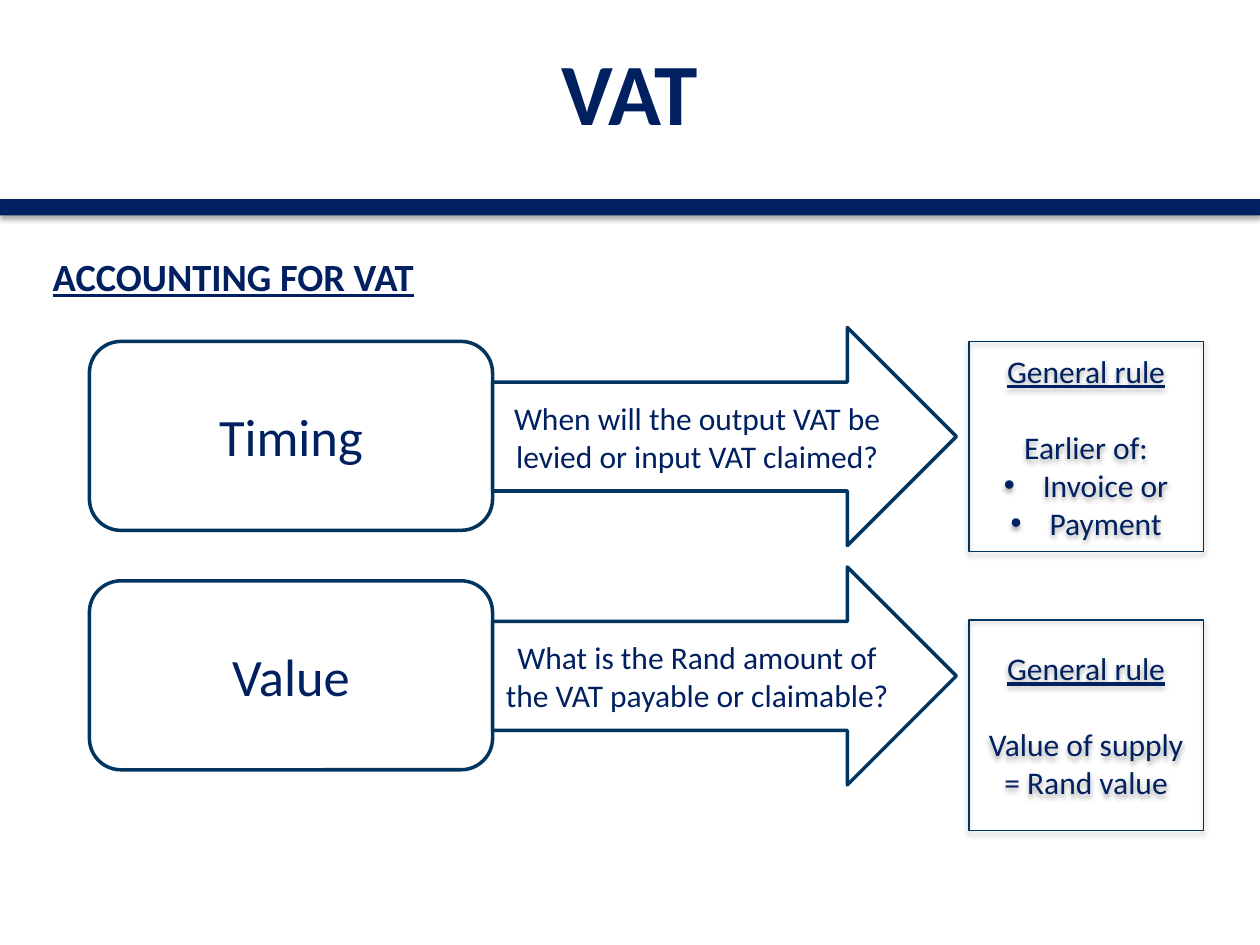
from lxml import etree
from pptx import Presentation
from pptx.dml.color import RGBColor
from pptx.enum.shapes import MSO_SHAPE as Shape
from pptx.enum.text import MSO_ANCHOR as Anchor, PP_ALIGN as Align
from pptx.oxml import parse_xml
from pptx.oxml.ns import nsdecls, qn
from pptx.util import Inches, Pt

COLORS = {"navy": "002060", "outline": "003560", "white": "FFFFFF", "shadow": "000000"}
FONT = "Calibri"
RULE_SIZE = 18
BULLET_INDENT = Inches(0.31)

TOPICS = [
    {
        "name": "Timing",
        "question": "When will the output VAT be levied or input VAT claimed?",
        "rule": ["Earlier of:"],
        "bullets": ["Invoice or", "Payment"],
        "top": 2.71,
        "rule_top": 2.71,
    },
    {
        "name": "Value",
        "question": "What is the Rand amount of the VAT payable or claimable?",
        "rule": ["Value of supply = Rand value"],
        "bullets": [],
        "top": 4.61,
        "rule_top": 4.92,
    },
]


def rgb(name):
    return RGBColor.from_string(COLORS[name])


def format_paragraph(paragraph, size, align=Align.CENTER, bold=False, underline=False):
    paragraph.alignment = align
    for run in paragraph.runs:
        font = run.font
        font.name, font.size = FONT, Pt(size)
        font.bold, font.underline = bold, underline
        font.color.rgb = rgb("navy")


def add_shadow(shape):
    """Give the shape a soft shadow straight below it."""
    shape._element.spPr.append(parse_xml(
        f'<a:effectLst {nsdecls("a")}>'
        f'<a:outerShdw blurRad="{Pt(3.1)}" dist="{Pt(1.8)}" dir="5400000" rotWithShape="0">'
        f'<a:srgbClr val="{COLORS["shadow"]}"><a:alpha val="35000"/></a:srgbClr>'
        '</a:outerShdw></a:effectLst>'))


def add_bullet(paragraph):
    properties = paragraph._p.get_or_add_pPr()
    properties.set("marL", str(BULLET_INDENT))
    properties.set("indent", str(-BULLET_INDENT))
    etree.SubElement(properties, qn("a:buFont")).set("typeface", "Arial")
    etree.SubElement(properties, qn("a:buChar")).set("char", "•")


def add_panel(slide, kind, box, fill=None, line_width=None, shadow=False):
    panel = slide.shapes.add_shape(kind, *map(Inches, box))
    if shadow:
        add_shadow(panel)
    else:
        panel.shadow.inherit = False
    if fill:
        panel.fill.solid()
        panel.fill.fore_color.rgb = rgb(fill)
    else:
        panel.fill.background()
    if line_width:
        panel.line.color.rgb = rgb("outline")
        panel.line.width = Pt(line_width)
    else:
        panel.line.fill.background()
    panel.text_frame.word_wrap = True
    panel.text_frame.vertical_anchor = Anchor.MIDDLE
    return panel


def add_label_panel(slide, kind, box, label, size):
    panel = add_panel(slide, kind, box, fill="white", line_width=2)
    panel.text_frame.text = label
    format_paragraph(panel.text_frame.paragraphs[0], size)


def add_heading(slide, box, text, size, anchor=Anchor.TOP, **style):
    frame = slide.shapes.add_textbox(*map(Inches, box)).text_frame
    frame.word_wrap = True
    frame.vertical_anchor = anchor
    frame.text = text
    format_paragraph(frame.paragraphs[0], size, bold=True, **style)


def add_general_rule(slide, box, lines, bullets):
    frame = add_panel(slide, Shape.RECTANGLE, box, line_width=0.75, shadow=True).text_frame
    frame.text = "\n".join(["General rule", *lines, *bullets])
    heading, *details = frame.paragraphs
    format_paragraph(heading, RULE_SIZE, underline=True)
    heading.space_after = Pt(22)
    for detail in details:
        format_paragraph(detail, RULE_SIZE)
    for bullet in details[len(lines):]:
        add_bullet(bullet)


def add_topic(slide, topic):
    """Draw one row: topic, question arrow and general rule."""
    top = topic["top"]
    add_label_panel(slide, Shape.ROUNDED_RECTANGLE, (0.71, top, 3.2, 1.5), topic["name"], 30)
    add_label_panel(slide, Shape.RIGHT_ARROW, (3.91, top - 0.11, 3.68, 1.73),
                    topic["question"], 18)
    add_general_rule(slide, (7.69, topic["rule_top"], 1.86, 1.67),
                     topic["rule"], topic["bullets"])


def main():
    deck = Presentation()
    deck.slide_width, deck.slide_height = Inches(10), Inches(7.5)
    slide = deck.slides.add_slide(deck.slide_layouts[6])
    add_panel(slide, Shape.RECTANGLE, (0, 1.58, 10, 0.13), fill="navy", shadow=True)
    add_heading(slide, (0.5, 0.09, 9, 1.25), "VAT", 50, anchor=Anchor.MIDDLE)
    add_heading(slide, (0.32, 1.96, 9.18, 0.5), "ACCOUNTING FOR VAT", 22,
                align=Align.LEFT, underline=True)
    for topic in TOPICS:
        add_topic(slide, topic)
    deck.save("out.pptx")


if __name__ == "__main__":
    main()
